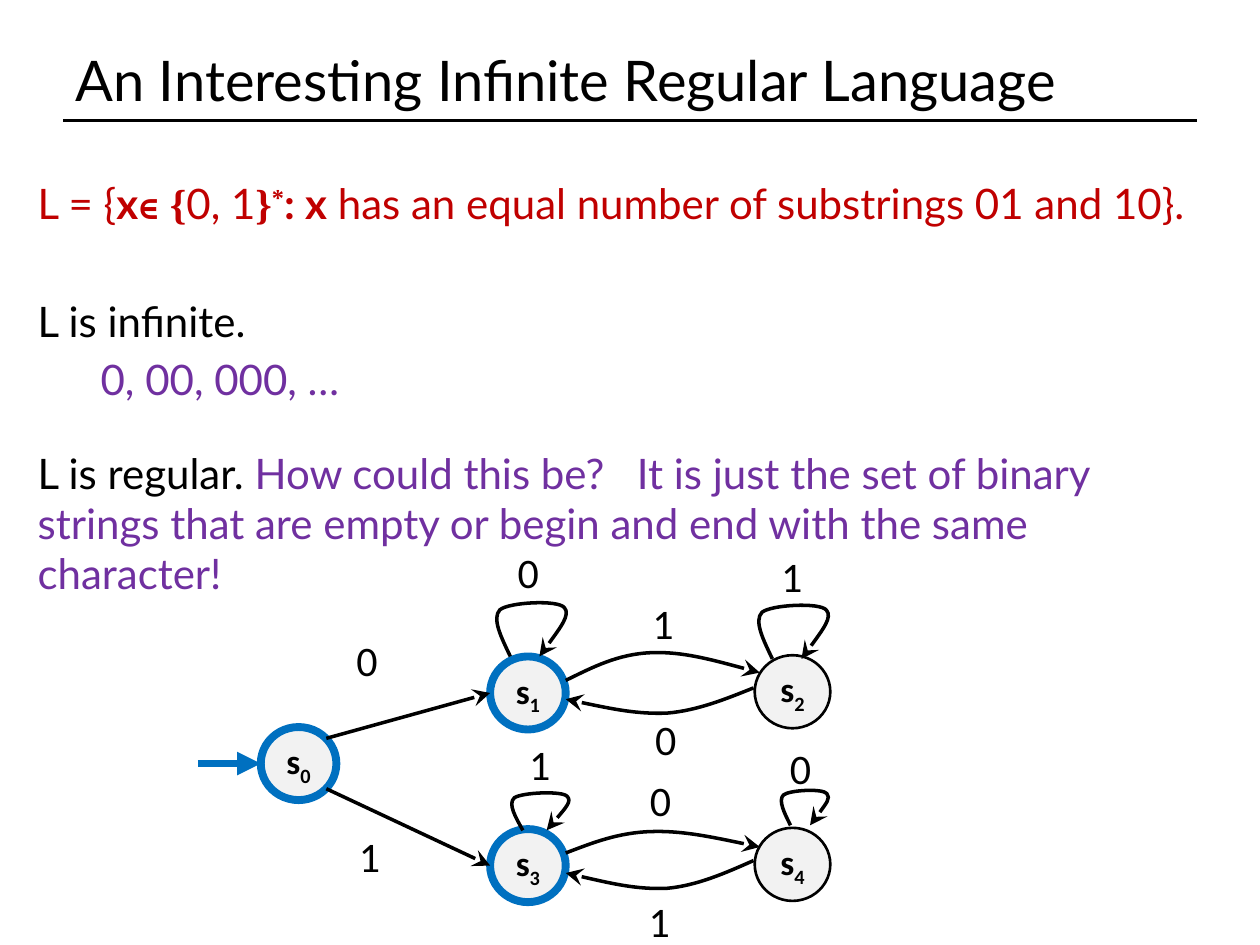
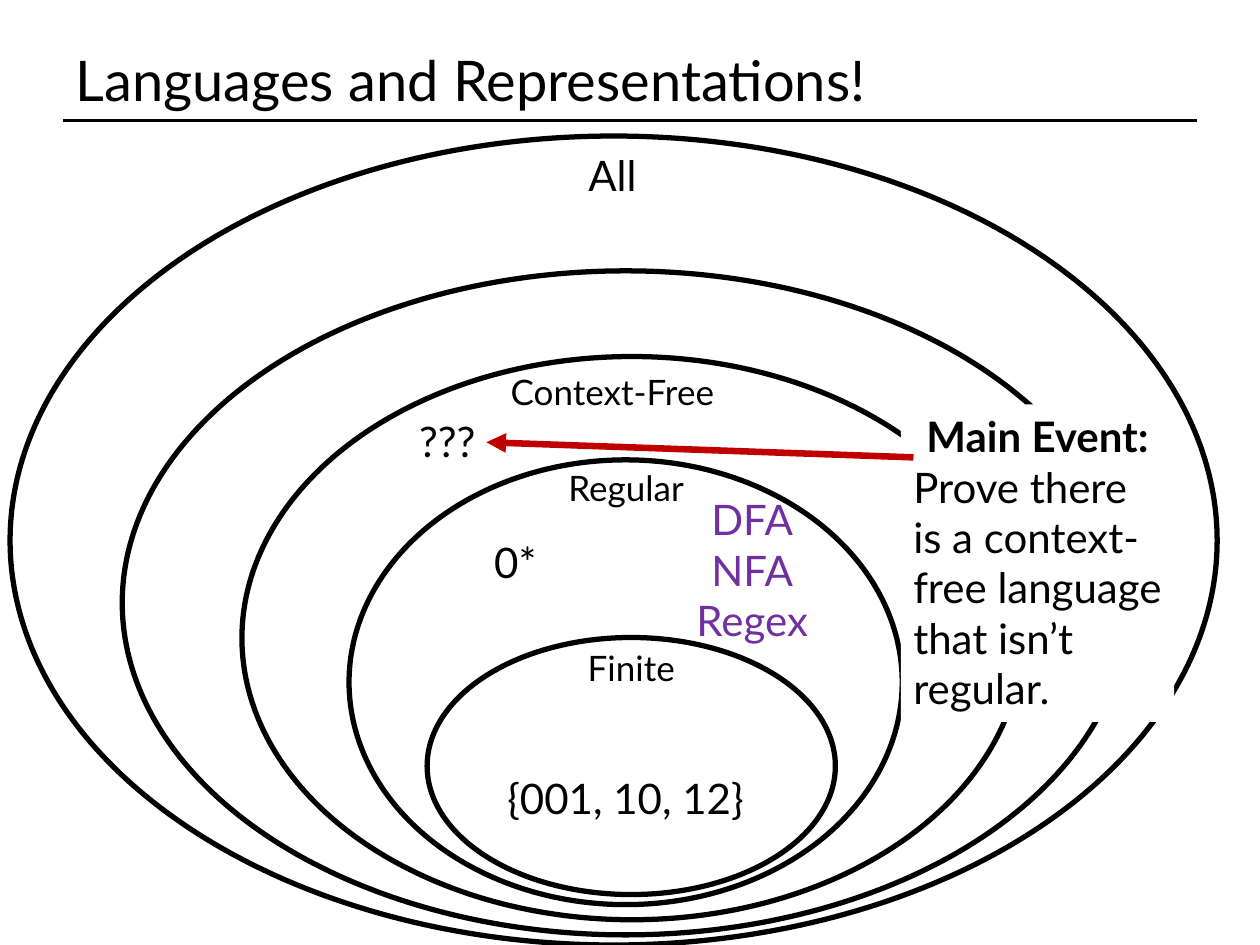
"""Build two slides on regular languages: an automaton and a language hierarchy."""
from lxml import etree
from pptx import Presentation
from pptx.dml.color import RGBColor
from pptx.enum.shapes import MSO_CONNECTOR, MSO_SHAPE
from pptx.enum.text import MSO_ANCHOR, PP_ALIGN
from pptx.oxml.ns import qn
from pptx.util import Inches, Pt

STRAIGHT = MSO_CONNECTOR.STRAIGHT
ELLIPSE, RECTANGLE = MSO_SHAPE.OVAL, MSO_SHAPE.RECTANGLE
LEFT, CENTER = PP_ALIGN.LEFT, PP_ALIGN.CENTER
TOP, MIDDLE = MSO_ANCHOR.TOP, MSO_ANCHOR.MIDDLE

BLACK, WHITE, GRAY = "000000", "FFFFFF", "F2F2F2"
RED, PURPLE, BLUE = "C00000", "7030A0", "0070C0"
LATO, CALIBRI, TIMES = "Lato", "Calibri", "Times New Roman"

TITLE_BOX = (0.5, 0.3, 9, 0.66)
STATE_SIZE = (0.6, 0.58)
STEALTH = {"type": "stealth", "w": "lg", "len": "lg"}
TRIANGLE = {"type": "triangle"}

# Cubic curves as fractions of their frames
LOOP = [(0.2, 1), (0.07, 0.65), (-0.07, 0.3), (0.05, 0.14), (0.18, 0),
        (0.89, -0.05), (0.98, 0.1), (1.07, 0.23), (0.85, 0.6), (0.62, 1)]
FORTH = [(0, 1), (0.14, 0.52), (0.27, 0.05), (0.44, 0), (0.6, -0.05),
         (0.81, 0.36), (1, 0.72)]
BACK = [(1, 0), (0.85, 0.45), (0.7, 0.9), (0.54, 1), (0.38, 1.05),
        (0.19, 0.75), (0, 0.45)]

STATES = [("0", 2.07, 5.77, True), ("1", 3.89, 5.21, True),
          ("2", 5.99, 5.2, False), ("3", 3.89, 6.58, True),
          ("4", 5.99, 6.57, False)]
CURVES = [(FORTH, (4.49, 5.18, 1.54, 0.22)), (BACK, (4.49, 5.46, 1.49, 0.2)),
          (FORTH, (4.49, 6.6, 1.54, 0.17)), (BACK, (4.49, 6.83, 1.49, 0.22)),
          (LOOP, (3.94, 4.78, 0.55, 0.43)), (LOOP, (6.02, 4.8, 0.55, 0.43)),
          (LOOP, (4.06, 6.29, 0.45, 0.3)), (LOOP, (6.2, 6.27, 0.37, 0.28))]
SYMBOLS = [("0", 2.73, 4.99), ("1", 2.75, 6.54), ("0", 5.06, 6.1),
           ("1", 5.05, 7.06), ("0", 6.17, 5.84), ("1", 4.1, 5.81),
           ("1", 5.08, 4.69), ("0", 5.1, 5.61), ("1", 6.1, 4.32),
           ("0", 4.01, 4.29)]

DEFINITION = [("L = {", {}), ("x", {"bold": True}),
              ("∊ {", {"bold": True, "name": TIMES}), ("0, 1", {}),
              ("}", {"bold": True, "name": TIMES}),
              ("*", {"bold": True, "name": TIMES, "baseline": 30000}),
              (": x", {"bold": True}),
              (" has an equal number of substrings 01 and 10}.", {})]
REGULAR = [("L is regular. ", {}),
           ("How could this be?", {"color": PURPLE}), (" ", {"spc": 1240}),
           ("It is just the set of binary strings that are empty or begin "
            "and end with the same character!", {"color": PURPLE})]

LANGUAGE_CLASSES = [(0.08, 1.08, 9.58, 6.42), (0.97, 2.15, 7.99, 5.27),
                    (1.92, 2.83, 6.19, 4.47), (2.77, 3.65, 4.39, 3.53),
                    (3.39, 5.06, 3.24, 2.04)]
CLASS_LABELS = [("All", (3.72, 1.14, 2.28, 0.5), 24),
                ("Context-Free", (3.04, 2.89, 3.64, 0.44), 20),
                ("Regular", (3.15, 3.65, 3.64, 0.44), 20),
                ("Finite", (3.19, 5.08, 3.64, 0.44), 20),
                ("0*", (3.32, 4.21, 1.54, 0.5), 24),
                ("???", (2.78, 3.25, 1.54, 0.5), 24),
                ("{001, 10, 12}", (3.8, 6.08, 2.33, 0.5), 24)]


def rgb(value):
    """Turn a hex string into a colour."""
    return RGBColor.from_string(value)


def inches(values):
    """Turn several numbers into lengths."""
    return [Inches(value) for value in values]


def set_all(target, values):
    """Set each named attribute of the target."""
    for name, value in values.items():
        setattr(target, name, value)


def add_run(paragraph, text, size=24, name=LATO, bold=False, color=BLACK, **extras):
    """Append formatted text, with extras such as baseline or spc."""
    run = paragraph.add_run()
    run.text = text
    set_all(run.font, {"size": Pt(size), "name": name, "bold": bold})
    run.font.color.rgb = rgb(color)
    for script in ("a:ea", "a:cs"):
        etree.SubElement(run.font._element, qn(script), typeface=name)
    for key, value in extras.items():
        run.font._element.set(key, str(value))


def write(shape, paragraphs, align=LEFT, **frame_values):
    """Fill a shape with paragraphs, each a list of (text, format) runs."""
    frame = shape.text_frame
    set_all(frame, {"word_wrap": True, "vertical_anchor": TOP, **frame_values})
    for index, runs in enumerate(paragraphs):
        paragraph = frame.add_paragraph() if index else frame.paragraphs[0]
        paragraph.alignment = align
        for text, values in runs:
            add_run(paragraph, text, **values)
    return frame.paragraphs


def add_text(slide, box, paragraphs, align=LEFT, **frame_values):
    """Add a text box and return its paragraphs."""
    return write(slide.shapes.add_textbox(*inches(box)), paragraphs, align, **frame_values)


def set_line(shape, color, width, arrow=None):
    """Style a line, with an arrowhead at its end if one is given."""
    shape.line.color.rgb = rgb(color)
    shape.line.width = Pt(width)
    if arrow:
        etree.SubElement(shape.line._get_or_add_ln(), qn("a:tailEnd"), arrow)


def add_line(slide, start, end, color=BLACK, width=2, arrow=None):
    """Add a straight line or arrow."""
    line = slide.shapes.add_connector(STRAIGHT, *inches(start + end))
    set_line(line, color, width, arrow)
    etree.SubElement(line._element.spPr, qn("a:effectLst"))


def add_shape(slide, kind, box, fill=None, line=None, width=3):
    """Add a preset shape, unfilled or unlined where no colour is given."""
    shape = slide.shapes.add_shape(kind, *inches(box))
    shape.shadow.inherit = False
    if fill:
        shape.fill.solid()
        shape.fill.fore_color.rgb = rgb(fill)
    else:
        shape.fill.background()
    if line:
        set_line(shape, line, width)
    else:
        shape.line.fill.background()
    return shape


def add_transition(slide, curve, frame):
    """Draw a curved transition arrow scaled into its frame."""
    left, top, width, height = inches(frame)
    builder = slide.shapes.build_freeform(left, top)
    builder.add_line_segments([(left + width, top + height)], close=False)
    arc = builder.convert_to_shape()
    outline = next(arc._element.iter(qn("a:path")))
    for segment in list(outline):
        outline.remove(segment)
    points = [{"x": str(round(x * width)), "y": str(round(y * height))} for x, y in curve]
    start = etree.SubElement(outline, qn("a:moveTo"))
    etree.SubElement(start, qn("a:pt"), points[0])
    for first in range(1, len(points), 3):
        cubic = etree.SubElement(outline, qn("a:cubicBezTo"))
        for point in points[first:first + 3]:
            etree.SubElement(cubic, qn("a:pt"), point)
    arc.shadow.inherit = False
    arc.fill.background()
    set_line(arc, BLACK, 2, STEALTH)


def add_state(slide, number, left, top, accepting):
    """Draw a state circle, with a thick blue rim if it accepts."""
    color, width = (BLUE, 4.5) if accepting else (BLACK, 1.5)
    state = add_shape(slide, ELLIPSE, (left, top, *STATE_SIZE), GRAY, color, width)
    style = {"size": 20, "name": CALIBRI, "bold": True}
    write(state, [[("s", style), (number, {**style, "baseline": -25000})]], CENTER,
          word_wrap=False, vertical_anchor=MIDDLE, margin_left=0, margin_right=0,
          margin_top=0, margin_bottom=0)


def add_titled_slide(deck, title):
    """Add a slide with its title and the rule beneath."""
    slide = deck.slides.add_slide(deck.slide_layouts[5])
    heading = slide.shapes.title
    set_all(heading, dict(zip(("left", "top", "width", "height"), inches(TITLE_BOX))))
    write(heading, [[(title, {"size": 32})]], vertical_anchor=MIDDLE)
    add_line(slide, (0.5, 0.96), (9.5, 0.96), width=1.75)
    return slide


def build_automaton(deck):
    """Build the slide with the claim and its automaton."""
    slide = add_titled_slide(deck, "An Interesting Infinite Regular Language")
    definition = [(text, {**values, "color": RED}) for text, values in DEFINITION]
    claims = add_text(slide, (0.2, 1.36, 9.52, 5.62), [
        definition, [("L is infinite.", {})],
        [("0, 00, 000, …", {"color": PURPLE})], REGULAR])
    for claim, gap in zip(claims, (0, 38.4, 4.8, 24.4)):
        claim.space_before = Pt(gap)
    claims[2]._p.get_or_add_pPr().set("marL", str(Inches(0.5)))

    for state in STATES:
        add_state(slide, *state)
    add_line(slide, (2.59, 5.86), (3.89, 5.5), arrow=STEALTH)
    add_line(slide, (2.59, 6.26), (3.89, 6.87), arrow=STEALTH)
    add_line(slide, (1.57, 6.06), (2.07, 6.06), BLUE, 4.5, TRIANGLE)
    for curve, frame in CURVES:
        add_transition(slide, curve, frame)
    for symbol, left, top in SYMBOLS:
        add_text(slide, (left, top, 0.39, 0.5), [[(symbol, {"name": CALIBRI})]],
                 word_wrap=False)


def build_hierarchy(deck):
    """Build the slide with the nested language classes."""
    slide = add_titled_slide(deck, "Languages and Representations!")
    for box in LANGUAGE_CLASSES:
        add_shape(slide, ELLIPSE, box, line=BLACK)
    for label, box, size in CLASS_LABELS:
        add_text(slide, box, [[(label, {"size": size})]], CENTER)
    add_text(slide, (5.2, 3.87, 1.54, 1.31),
             [[(form, {"color": PURPLE})] for form in ("DFA", "NFA", "Regex")], CENTER)
    main_event = add_shape(slide, RECTANGLE, (7.15, 3.21, 2.17, 2.52), WHITE)
    heading, _ = write(main_event, [
        [("Main Event:", {"bold": True})],
        [("Prove there is a context-free language that isn’t regular.", {})]])
    heading.alignment = CENTER
    add_line(slide, (7.25, 3.63), (3.86, 3.51), RED, 3.75, TRIANGLE)


def main():
    """Build and save the deck."""
    deck = Presentation()
    deck.slide_width, deck.slide_height = Inches(10), Inches(7.5)
    build_automaton(deck)
    build_hierarchy(deck)
    deck.save("out.pptx")


if __name__ == "__main__":
    main()
